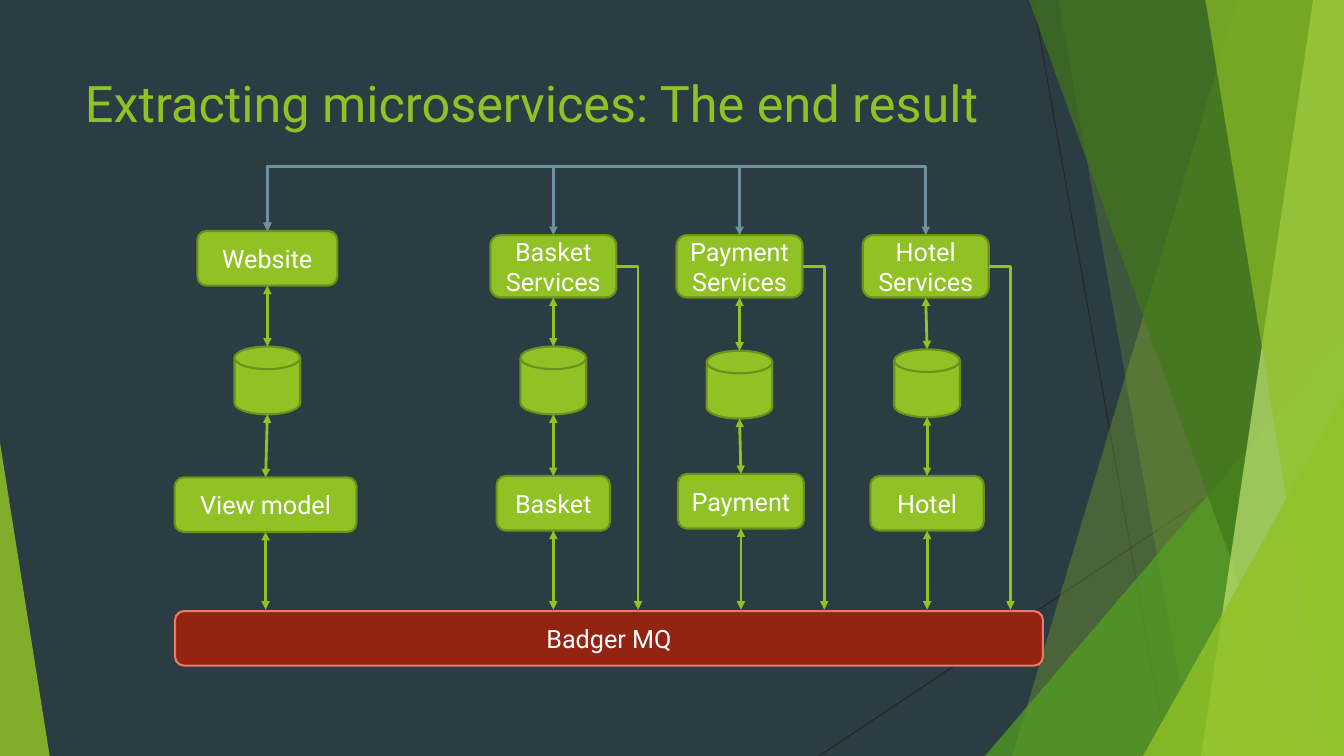
from lxml import etree
from pptx import Presentation, util as u
from pptx.dml.color import RGBColor
from pptx.enum import shapes, text
from pptx.oxml.ns import qn

Pt = u.Pt
SHAPE = shapes.MSO_SHAPE
LINK = shapes.MSO_CONNECTOR
FONT = "Roboto"
GREEN = RGBColor(0x90, 0xC2, 0x26)
DARK_GREEN = RGBColor(0x6B, 0x90, 0x1C)
LEAF = RGBColor(0x54, 0xA0, 0x21)
FOREST = RGBColor(0x3F, 0x78, 0x19)
LIME = RGBColor(0xC0, 0xE4, 0x74)
SLATE = RGBColor(0x2C, 0x3C, 0x43)
BLUE = RGBColor(0x6E, 0x91, 0xA0)
RED = RGBColor(0x93, 0x23, 0x13)
CORAL = RGBColor(0xEB, 0x77, 0x66)
CHARCOAL = RGBColor(0x26, 0x26, 0x26)
WHITE = RGBColor(0xFF, 0xFF, 0xFF)
WIDTH, HEIGHT = 960, 540

prs = Presentation()
prs.slide_width, prs.slide_height = Pt(WIDTH), Pt(HEIGHT)
slide = prs.slides.add_slide(prs.slide_layouts[5])
slide.background.fill.solid()
slide.background.fill.fore_color.rgb = SLATE


def add_block(kind, centre, top, width, height, label="", fill=GREEN, line=DARK_GREEN):
    """Add a filled, outlined block centred on an x position."""
    block = slide.shapes.add_shape(
        kind, Pt(centre - width / 2), Pt(top), Pt(width), Pt(height))
    block.shadow.inherit = False
    block.fill.solid()
    block.fill.fore_color.rgb = fill
    block.line.color.rgb = line
    block.line.width = Pt(1.5)
    if label:
        block.text_frame.text = label
        block.text_frame.vertical_anchor = text.MSO_ANCHOR.MIDDLE
        paragraph = block.text_frame.paragraphs[0]
        paragraph.alignment = text.PP_ALIGN.CENTER
        paragraph.font.name, paragraph.font.size = FONT, Pt(18)
        paragraph.font.color.rgb = WHITE
    return block


def add_link(start, end, colour=GREEN, width=2, heads=("headEnd", "tailEnd"), kind=LINK.STRAIGHT):
    """Add a connector without shadow, with arrowheads at the named ends."""
    link = slide.shapes.add_connector(kind, *(Pt(v) for v in (*start, *end)))
    link.line.color.rgb = colour
    link.line.width = Pt(width)
    for head in heads:
        etree.SubElement(link.line._get_or_add_ln(), qn("a:" + head), type="triangle")
    etree.SubElement(link._element.spPr, qn("a:effectLst"))
    return link


# Background facets
add_link((738, 0), (834, HEIGHT), CHARCOAL, 0.75, ())
add_link((WIDTH, 290), (585, HEIGHT), CHARCOAL, 0.75, ())

# Bands: top x, bottom x. Triangles: left, top, width, apex position.
facets = [
    (GREEN, 30, (884, 723)),
    (GREEN, 20, (756, 852)),
    (LEAF, 72, (703.5, 240, 256.5, 1)),
    (FOREST, 70, (735, 929.5)),
    (LIME, 70, (938, 858)),
    (GREEN, 65, (861, 949)),
    (GREEN, 80, (816.5, 283, 143.5, 1)),
    (GREEN, 85, (0, 316, 35.5, 0)),
]
for colour, opacity, outline in facets:
    if len(outline) == 2:
        top_x, bottom_x = outline
        builder = slide.shapes.build_freeform(top_x, 0, scale=float(Pt(1)))
        builder.add_line_segments([(WIDTH, 0), (WIDTH, HEIGHT), (bottom_x, HEIGHT)])
        facet = builder.convert_to_shape()
    else:
        left, top, width, apex = outline
        facet = slide.shapes.add_shape(
            SHAPE.ISOSCELES_TRIANGLE, Pt(left), Pt(top), Pt(width), Pt(HEIGHT - top))
        facet.adjustments[0] = apex
    facet.shadow.inherit = False
    facet.line.fill.background()
    facet.fill.solid()
    facet.fill.fore_color.rgb = colour
    rgb = facet._element.spPr.find(".//" + qn("a:srgbClr"))
    etree.SubElement(rgb, qn("a:alpha"), val=str(opacity * 1000))

title = slide.shapes.title
title.left, title.top, title.width, title.height = Pt(53.5), Pt(48), Pt(677), Pt(104)
title.text_frame.text = "Extracting microservices: The end result"
title.text_frame.vertical_anchor = text.MSO_ANCHOR.TOP
heading = title.text_frame.paragraphs[0]
heading.alignment = text.PP_ALIGN.LEFT
heading.font.name, heading.font.size = FONT, Pt(36)
heading.font.color.rgb = GREEN

# Message queue along the bottom
QUEUE_TOP = 436.5
add_block(SHAPE.ROUNDED_RECTANGLE, 435, QUEUE_TOP, 620, 39, "Badger MQ", RED, CORAL)

# Service: label, centre, top, width, height; store: centre, top;
# model: label, centre, top, width
STORE_WIDTH, STORE_HEIGHT, MODEL_HEIGHT = 47, 48.5, 39
columns = [
    (("Website", 191, 165, 100, 39), (191, 247.5), ("View model", 189.75, 341, 130)),
    (("Basket Services", 395.25, 168, 90, 44.5), (395.25, 247.5), ("Basket", 395.25, 340, 81)),
    (("Payment Services", 528.25, 168, 90, 44.5), (528.25, 250.5), ("Payment", 529.25, 338.5, 90)),
    (("Hotel Services", 661.25, 168, 90, 44.5), (662.25, 249.5), ("Hotel", 662.25, 340, 81)),
]
BUS_Y, QUEUE_GAP = 119, 15.5
website_x, website_top = columns[0][0][1:3]
for service, store, model in columns:
    label, service_x, service_top, service_width, service_height = service
    store_x, store_top = store
    model_label, model_x, model_top, model_width = model
    add_block(SHAPE.ROUNDED_RECTANGLE, service_x, service_top, service_width,
              service_height, label)
    add_block(SHAPE.FLOWCHART_MAGNETIC_DISK, store_x, store_top, STORE_WIDTH, STORE_HEIGHT)
    add_block(SHAPE.ROUNDED_RECTANGLE, model_x, model_top, model_width,
              MODEL_HEIGHT, model_label)
    add_link((service_x, service_top + service_height), (store_x, store_top))
    add_link((store_x, store_top + STORE_HEIGHT), (model_x, model_top))
    add_link((model_x, model_top + MODEL_HEIGHT), (model_x, QUEUE_TOP - 1))
    if service_x == website_x:
        continue

    # Website to service, over the top: a quarter-turned, mirrored elbow
    drop, span = service_top - website_top, service_x - website_x
    bus = add_link((website_x, website_top), (service_x, service_top), BLUE, kind=LINK.ELBOW)
    bus.left = Pt((website_x + service_x - drop) / 2)
    bus.top = Pt((website_top + service_top - span) / 2)
    bus.width, bus.height = Pt(drop), Pt(span)
    frame = bus._element.spPr.find(qn("a:xfrm"))
    frame.set("rot", "16200000")
    frame.set("flipH", "1")
    bend = round((BUS_Y - website_top) / drop * 100000)
    guides = bus._element.spPr.find(qn("a:prstGeom")).find(qn("a:avLst"))
    etree.SubElement(guides, qn("a:gd"), name="adj1", fmla=f"val {bend}")

    # Service straight to the queue
    right = service_x + service_width / 2
    direct = add_link((right, service_top + service_height / 2),
                      (right + QUEUE_GAP, QUEUE_TOP - 1), heads=("tailEnd",), kind=LINK.ELBOW)
    direct._element.spPr.find(qn("a:prstGeom")).set("prst", "bentConnector2")

prs.save("out.pptx")
